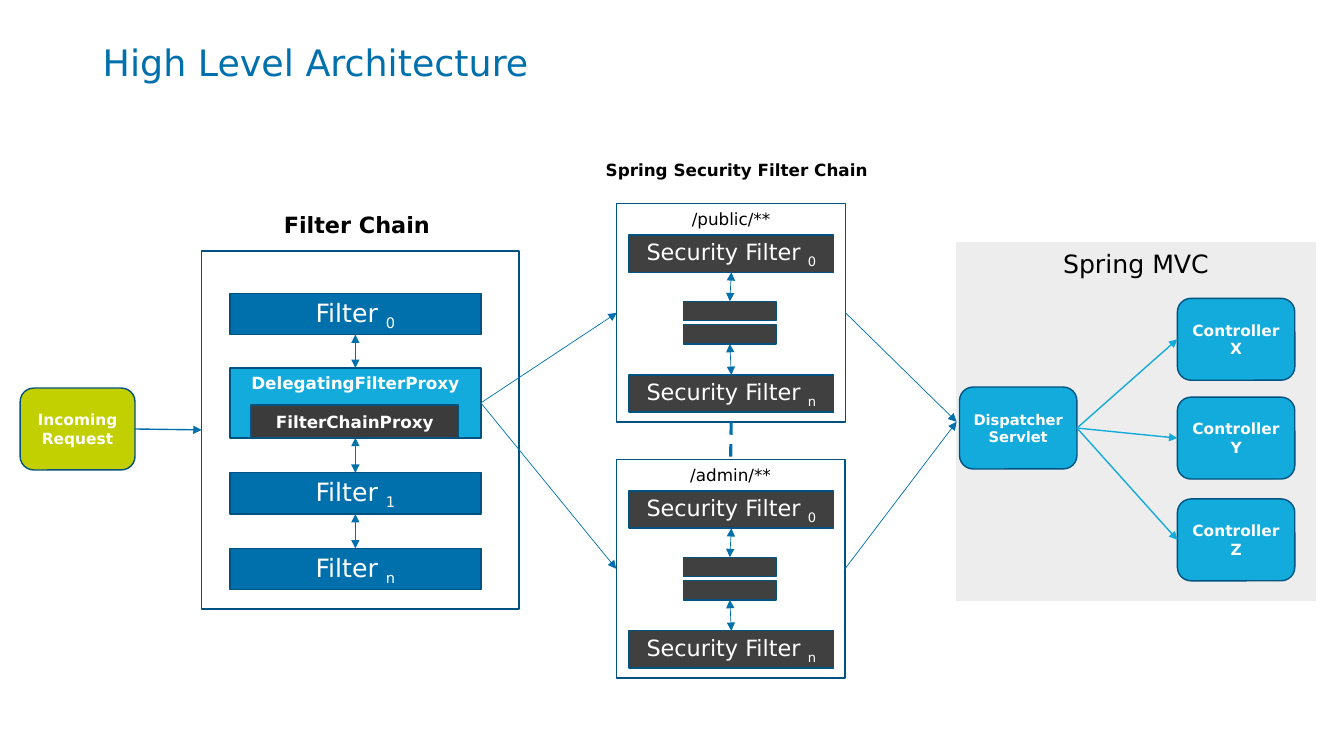
"""Build the High Level Architecture slide: filter chain, security chains and MVC."""
from lxml import etree
from pptx import Presentation
from pptx.dml.color import RGBColor
from pptx.enum.dml import MSO_LINE
from pptx.enum.shapes import MSO_CONNECTOR, MSO_SHAPE
from pptx.enum.text import MSO_ANCHOR, PP_ALIGN
from pptx.oxml.ns import qn
from pptx.util import Pt

RECT, ROUNDED = MSO_SHAPE.RECTANGLE, MSO_SHAPE.ROUNDED_RECTANGLE
STRAIGHT, DASH = MSO_CONNECTOR.STRAIGHT, MSO_LINE.DASH
TOP_ANCHOR, MIDDLE = MSO_ANCHOR.TOP, MSO_ANCHOR.MIDDLE
CENTER, LEFT_ALIGN = PP_ALIGN.CENTER, PP_ALIGN.LEFT
TOP, LEFT, BOTTOM, RIGHT = range(4)

WHITE = RGBColor(0xFF, 0xFF, 0xFF)
BLACK = RGBColor(0x00, 0x00, 0x00)
BLUE = RGBColor(0x00, 0x70, 0xAD)
NAVY = RGBColor(0x00, 0x53, 0x80)
CYAN = RGBColor(0x12, 0xAB, 0xDB)
LIME = RGBColor(0xC2, 0xCF, 0x00)
PALE = RGBColor(0xED, 0xED, 0xED)
CHARCOAL = RGBColor(0x3B, 0x3B, 0x3B)
DARK = RGBColor(0x40, 0x40, 0x40)

FONT = "DejaVu Sans"
TITLE = {"name": FONT, "size": Pt(26), "bold": False}
PANEL = {"name": FONT, "size": Pt(18), "bold": False}
SECURITY = {"name": FONT, "size": Pt(16), "bold": False}
ROUTE = {"name": FONT, "size": Pt(12), "bold": False}
HEADING = {"name": FONT, "size": Pt(16), "bold": True}
PROXY = {"name": FONT, "size": Pt(12), "bold": True}
NODE = {"name": FONT, "size": Pt(11), "bold": True}
SERVLET = {"name": FONT, "size": Pt(10.5), "bold": True}


def add_box(parent, bounds, fill=None, label="", style=NODE, color=WHITE, subscript="",
            kind=RECT, anchor=MIDDLE, outline=NAVY):
    """Add a box or, when kind is None, a plain text box, with centred text."""
    area = [Pt(value) for value in bounds]
    if kind is None:
        box = parent.add_textbox(*area)
    else:
        box = parent.add_shape(kind, *area)
        box.shadow.inherit = False
        box.line.color.rgb = outline
        box.line.width = Pt(1)
        if fill is None:
            box.fill.background()
        else:
            box.fill.solid()
            box.fill.fore_color.rgb = fill
    if label:
        frame = box.text_frame
        frame.word_wrap = True
        frame.vertical_anchor = anchor
        para = frame.paragraphs[0]
        para.alignment = CENTER
        para.text = label
        if subscript:
            span = para.add_run()
            span.text = subscript
            span.font._element.set("baseline", "-25000")
        for span in para.runs:
            for name, value in style.items():
                setattr(span.font, name, value)
            span.font.color.rgb = color
    return box


def connect(parent, start, start_side, end, end_side, color=BLUE, width=0.5, ends=("tailEnd",)):
    """Glue a straight line to two shapes, with arrowheads at the named ends."""
    link = parent.add_connector(STRAIGHT, start.left, start.top, end.left, end.top)
    link.begin_connect(start, start_side)
    link.end_connect(end, end_side)
    link.line.color.rgb = color
    link.line.width = Pt(width)
    for name in ends:
        etree.SubElement(link.line._get_or_add_ln(), qn(f"a:{name}"), type="triangle")
    etree.SubElement(link._element.spPr, qn("a:effectLst"))
    return link


BOTH_ENDS = ("headEnd", "tailEnd")

deck = Presentation()
deck.slide_width, deck.slide_height = Pt(960), Pt(540)
page = deck.slides.add_slide(deck.slide_layouts[5])
shapes = page.shapes

title = shapes.title
title.left, title.top, title.width, title.height = Pt(66.2), Pt(28.8), Pt(828), Pt(69.8)
title.text_frame.text = "High Level Architecture"
title.text_frame.vertical_anchor = TOP_ANCHOR
title_para = title.text_frame.paragraphs[0]
title_para.alignment = LEFT_ALIGN
title_para.line_spacing = 0.9
for name, value in TITLE.items():
    setattr(title_para.runs[0].font, name, value)
title_para.runs[0].font.color.rgb = BLUE

request = add_box(shapes, (14.4, 277.2, 82.1, 58.5), LIME, "Incoming Request", kind=ROUNDED)

mvc = shapes.add_group_shape().shapes
mvc_panel = add_box(mvc, (683.3, 173.5, 256.3, 255.6), PALE, "Spring MVC", PANEL, BLACK,
                    anchor=TOP_ANCHOR, outline=PALE)
dispatcher = add_box(mvc, (685.4, 276.5, 83.9, 58.5), CYAN, "Dispatcher\vServlet", SERVLET,
                     kind=ROUNDED)
for letter, top in (("X", 213.1), ("Y", 283.7), ("Z", 356.4)):
    controller = add_box(mvc, (841, top, 83.9, 58.5), CYAN, f"Controller {letter}", kind=ROUNDED)
    connect(mvc, dispatcher, RIGHT, controller, LEFT, CYAN, 1)

chain = shapes.add_group_shape().shapes
chain_panel = add_box(chain, (144, 179.3, 226.8, 255.6))
filters = [add_box(chain, (164.2, top, 179.3, 29.5), BLUE, "Filter ", PANEL, subscript=index)
           for index, top in (("0", 209.5), ("1", 337.7), ("n", 391.7))]
delegate = add_box(chain, (164.2, 262.8, 179.3, 50), CYAN, "DelegatingFilterProxy", PROXY,
                   anchor=TOP_ANCHOR)
stack = [filters[0], delegate, *filters[1:]]
for upper, lower in zip(stack, stack[1:]):
    connect(chain, upper, BOTTOM, lower, TOP, ends=BOTH_ENDS)
add_box(chain, (179.3, 289.3, 148.3, 23.5), CHARCOAL, "FilterChainProxy", PROXY)
add_box(chain, (182.2, 147.6, 145.4, 26.6), label="Filter Chain", style=HEADING, color=BLACK,
        kind=None, anchor=TOP_ANCHOR)

route_panels = []
for route, left, top in (("/public/**", 440.6, 145.4), ("/admin/**", 440.2, 328.2)):
    security = shapes.add_group_shape().shapes
    route_panels.append(add_box(security, (left, top, 163.4, 156.2), None, route, ROUTE, BLACK,
                                anchor=TOP_ANCHOR))
    first, last = [add_box(security, (449.3, top + offset, 146.2, 26.6), DARK,
                           "Security Filter ", SECURITY, subscript=index)
                   for index, offset in (("0", 22.5), ("n", 122.4))]
    upper, lower = [add_box(security, (488.2, top + offset, 66.2, 13.7), DARK)
                    for offset in (69.8, 86.6)]
    connect(security, first, BOTTOM, upper, TOP, ends=BOTH_ENDS)
    connect(security, lower, BOTTOM, last, TOP, ends=BOTH_ENDS)
add_box(shapes, (422.6, 110.9, 207.4, 21.6), label="Spring Security Filter Chain", style=PROXY,
        color=BLACK, kind=None, anchor=TOP_ANCHOR)

connect(shapes, request, RIGHT, chain_panel, LEFT, width=1)
for panel in route_panels:
    connect(shapes, delegate, RIGHT, panel, LEFT)
    connect(shapes, panel, RIGHT, mvc_panel, LEFT)
divider = connect(shapes, route_panels[0], BOTTOM, route_panels[1], TOP, width=2.25, ends=())
divider.line.dash_style = DASH

deck.save("out.pptx")
